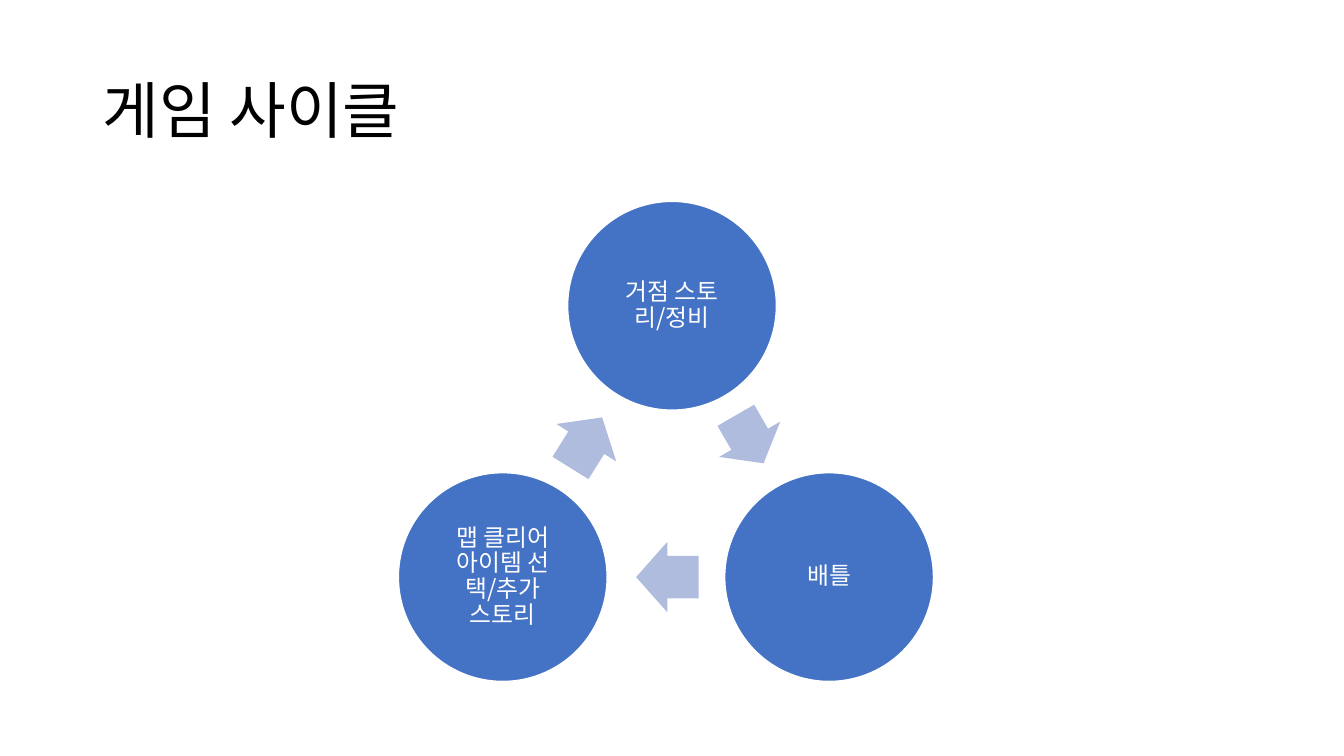
from pptx import Presentation
from pptx.dml.color import RGBColor
from pptx.enum.shapes import MSO_SHAPE
from pptx.enum.text import MSO_ANCHOR, PP_ALIGN
from pptx.oxml.ns import qn
from pptx.util import Inches, Pt

OVAL, ARROW = MSO_SHAPE.OVAL, MSO_SHAPE.RIGHT_ARROW
MIDDLE = MSO_ANCHOR.MIDDLE
LEFT, CENTER = PP_ALIGN.LEFT, PP_ALIGN.CENTER
FONT = "Noto Sans CJK KR"
COLORS = {"ink": "000000", "white": "FFFFFF", "disc": "4472C4", "arrow": "B0BCDE"}

deck = Presentation()
deck.slide_width, deck.slide_height = Inches(13.33), Inches(7.5)
COL, ROW = deck.slide_width / 32, deck.slide_height / 18
slide = deck.slides.add_slide(deck.slide_layouts[6])


def write(shape, text, size, color, align=LEFT, inset=None):
    frame = shape.text_frame
    frame.word_wrap = True
    frame.vertical_anchor = MIDDLE
    if inset is not None:
        frame.margin_left = frame.margin_right = Inches(inset)
        frame.margin_top = frame.margin_bottom = Inches(inset)
    para = frame.paragraphs[0]
    para.alignment, para.line_spacing = align, 0.9
    run = para.add_run()
    run.text = text
    run.font.size, run.font.name = Pt(size), FONT
    run.font.color.rgb = RGBColor.from_string(COLORS[color])
    east = run.font._element.makeelement(qn("a:ea"), {"typeface": FONT})
    run.font._element.find(qn("a:latin")).addnext(east)


def place(kind, x, y, wide, high, fill):
    """Add a filled shape centred on column x and row y."""
    shape = slide.shapes.add_shape(
        kind, int((x - wide / 2) * COL), int((y - high / 2) * ROW),
        int(wide * COL), int(high * ROW))
    shape.shadow.inherit = False
    shape.fill.solid()
    shape.fill.fore_color.rgb = RGBColor.from_string(COLORS[fill])
    shape.line.fill.background()
    return shape


title = slide.shapes.add_textbox(
    int(2.2 * COL), int(0.96 * ROW), int(27.6 * COL), int(3.48 * ROW))
write(title, "게임 사이클", 44, "ink")

# Each step: text, disc centre, then centre, length and angle of the next arrow
steps = [
    ("거점 스토리/정비", 16, 7.28, 17.85, 10.46, 1.32, 60),
    ("배틀", 19.74, 13.74, 15.89, 13.74, 1.49, 180),
    ("맵 클리어 아이템 선택/추가 스토리", 11.97, 13.74, 13.96, 10.54, 1.42, 302),
]
for text, x, y, next_x, next_y, span, angle in steps:
    disc = place(OVAL, x, y, 4.97, 4.97, "disc")
    disc.line.color.rgb = RGBColor.from_string(COLORS["white"])
    disc.line.width = Pt(1)
    write(disc, text, 17, "white", align=CENTER, inset=0.02)
    arrow = place(ARROW, next_x, next_y, span, 1.68, "arrow")
    arrow.rotation = angle
    arrow.adjustments[0], arrow.adjustments[1] = 0.6, 0.5

deck.save("out.pptx")
